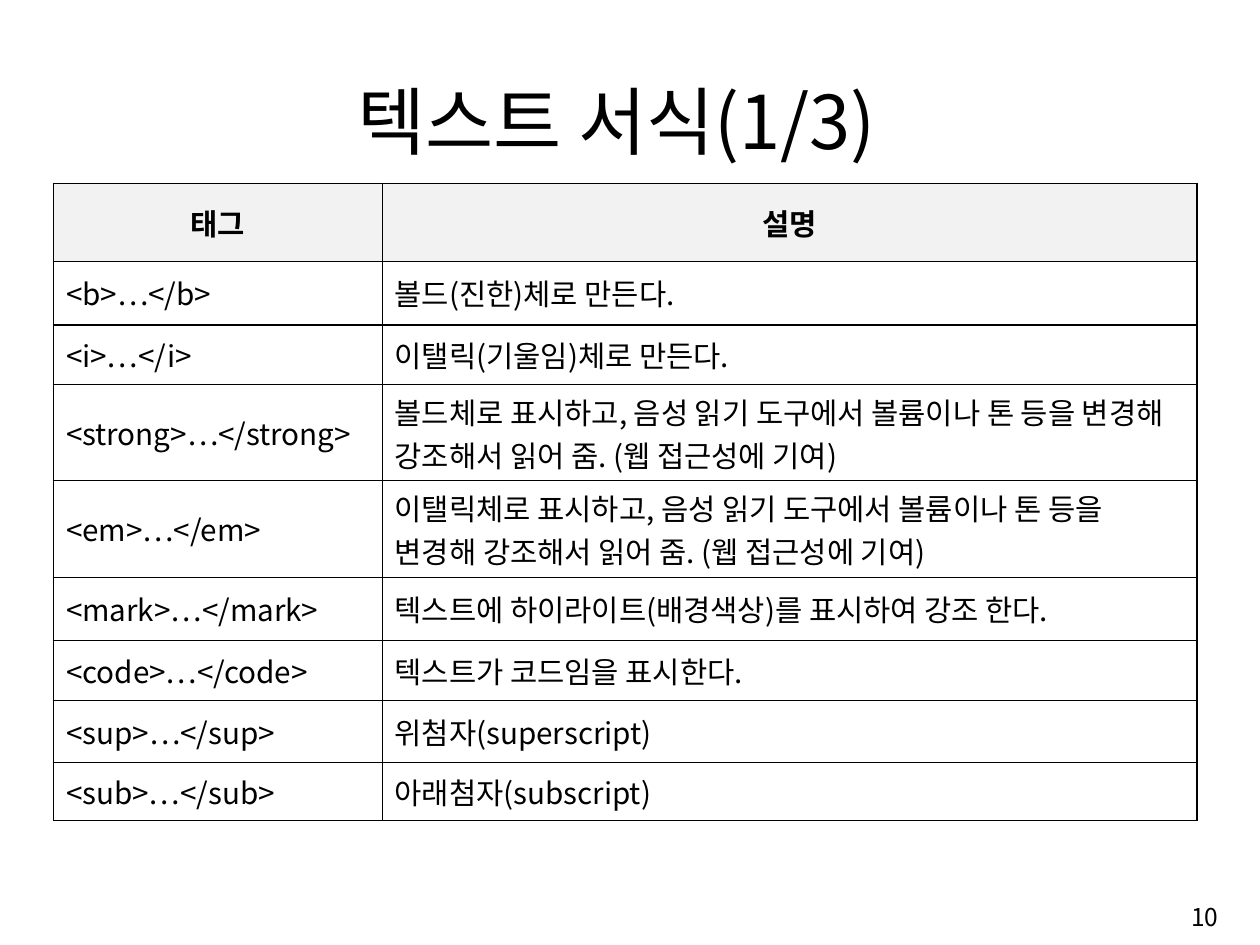
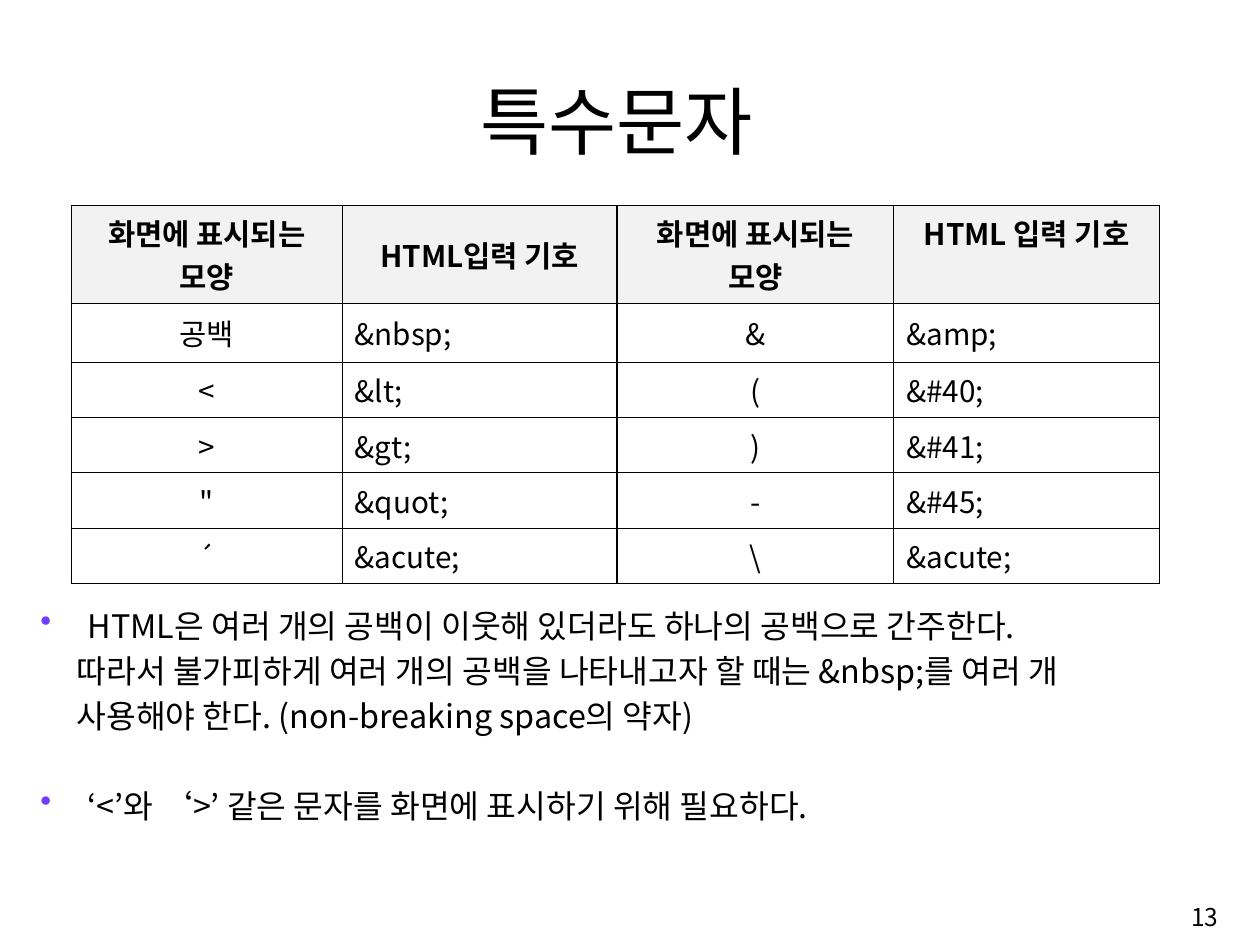
import pptx
import pptx.util
import pptx.dml.color
import pptx.enum.text
from lxml import etree
from dataclasses import dataclass
from pptx.oxml.ns import qn

Cm, Pt = pptx.util.Cm, pptx.util.Pt
ALIGN = pptx.enum.text.PP_ALIGN
ANCHOR = pptx.enum.text.MSO_ANCHOR


@dataclass(frozen=True)
class Theme:
    font: str = "Noto Sans CJK KR"
    ink: str = "000000"
    paper: str = "FFFFFF"
    header: str = "F2F2F2"
    bullet: str = "703DFF"
    title: float = 55
    cell: float = 22
    accent: float = 20
    body: float = 24
    leading: float = 33.4
    number: float = 18.2
    rule: float = 1


THEME = Theme()
SLIDE_SIZE = (33, 24.74)
TITLE_BOX = (2.67, 1.55, 26.95, 2.74)
NUMBER_BOX = (25.35, 23.24, 6.81, 1.52)
NOTES_BOX = (0.81, 15.7, 31.29, 7.04)
CELL_INSETS = (0.33, 0.15)

FORMAT_TAGS = {
    "title": "텍스트 서식(1/3)",
    "number": "10",
    "table": {
        "at": (1.4, 4.8),
        "columns": (8.61, 21.34),
        "heights": (2.04, 1.67, 1.56, 2.52, 2.52, 1.65, 1.57, 1.63, 1.52),
        "centred": (),
        "rows": [
            ("태그", "설명"),
            ("<b>…</b>", "볼드(진한)체로 만든다."),
            ("<i>…</i>", "이탤릭(기울임)체로 만든다."),
            ("<strong>…</strong>",
             "볼드체로 표시하고, 음성 읽기 도구에서 볼륨이나 톤 등을 변경해 강조해서 읽어 줌. (웹 접근성에 기여)"),
            ("<em>…</em>",
             "이탤릭체로 표시하고, 음성 읽기 도구에서 볼륨이나 톤 등을 변경해 강조해서 읽어 줌. (웹 접근성에 기여)"),
            ("<mark>…</mark>", "텍스트에 하이라이트(배경색상)를 표시하여 강조 한다."),
            ("<code>…</code>", "텍스트가 코드임을 표시한다."),
            ("<sup>…</sup>", "위첨자(superscript)"),
            ("<sub>…</sub>", "아래첨자(subscript)"),
        ],
    },
}

SPECIAL_CHARACTERS = {
    "title": "특수문자",
    "number": "13",
    "table": {
        "at": (1.87, 5.38),
        "columns": (7.09, 7.2, 7.25, 6.95),
        "heights": (2.56, 1.54) + (1.45,) * 4,
        "centred": (0, 2),
        "top_cells": {(0, 3)},
        "sizes": {(5, 0): THEME.accent},
        "rows": [
            ("화면에 표시되는 모양", "HTML입력 기호", "화면에 표시되는 모양", "HTML 입력 기호"),
            ("공백", "&nbsp;", "&", "&amp;"),
            ("<", "&lt;", "(", "&#40;"),
            (">", "&gt;", ")", "&#41;"),
            ('"', "&quot;", "-", "&#45;"),
            ("´", "&acute;", "\\", "&acute;"),
        ],
    },
    "notes": [
        {"text": "HTML은 여러 개의 공백이 이웃해 있더라도 하나의 공백으로 간주한다.", "bullet": True},
        {"text": "따라서 불가피하게 여러 개의 공백을 나타내고자 할 때는 &nbsp;를 여러 개", "indent": 0.95},
        {"text": "사용해야 한다. (non-breaking space의 약자)", "indent": 0.95},
        {"text": "‘<’와 ‘>’ 같은 문자를 화면에 표시하기 위해 필요하다.", "bullet": True,
         "before": THEME.leading},
    ],
}


def rgb(value):
    return pptx.dml.color.RGBColor.from_string(value)


def write(para, text, size, bold=False, align=ALIGN.LEFT, leading=None,
          before=0, indent=0, bullet=False):
    para.alignment = align
    para.space_before = Pt(before)
    if leading:
        para.line_spacing = Pt(leading)
    props = para._p.get_or_add_pPr()
    if bullet:
        hang = Cm(1.24)
        props.set("marL", str(hang))
        props.set("indent", str(-hang))
        color = etree.SubElement(props, qn("a:buClr"))
        etree.SubElement(color, qn("a:srgbClr"), val=THEME.bullet)
        etree.SubElement(props, qn("a:buChar"), char="•")
    elif indent:
        props.set("marL", str(Cm(indent)))
        props.set("indent", "0")
    span = para.add_run()
    span.text = text
    span.font.size = Pt(size)
    span.font.bold = bold
    span.font.name = THEME.font
    span.font.color.rgb = rgb(THEME.ink)
    etree.SubElement(span._r.get_or_add_rPr(), qn("a:ea"), typeface=THEME.font)


def add_box(page, place, anchor):
    frame = page.shapes.add_textbox(*map(Cm, place)).text_frame
    frame.word_wrap = True
    frame.vertical_anchor = anchor
    return frame


def outline(cell):
    """Rule all four sides of a table cell."""
    props = cell._tc.get_or_add_tcPr()
    for position, side in enumerate(("lnL", "lnR", "lnT", "lnB")):
        line = etree.Element(qn("a:" + side), w=str(Pt(THEME.rule)))
        fill = etree.SubElement(line, qn("a:solidFill"))
        etree.SubElement(fill, qn("a:srgbClr"), val=THEME.ink)
        props.insert(position, line)


def add_grid(page, spec_table):
    rows, columns, heights = (spec_table[key] for key in ("rows", "columns", "heights"))
    size = (sum(columns), sum(heights))
    table = page.shapes.add_table(len(rows), len(columns),
                                  *map(Cm, spec_table["at"] + size)).table
    table.first_row = table.horz_banding = False
    for column, width in zip(table.columns, columns):
        column.width = Cm(width)
    for row, height in zip(table.rows, heights):
        row.height = Cm(height)
    for r, texts in enumerate(rows):
        for c, text in enumerate(texts):
            cell = table.cell(r, c)
            header = r == 0
            cell.margin_left = cell.margin_right = Cm(CELL_INSETS[0])
            cell.margin_top = cell.margin_bottom = Cm(CELL_INSETS[1])
            on_top = (r, c) in spec_table.get("top_cells", ())
            cell.vertical_anchor = ANCHOR.TOP if on_top else ANCHOR.MIDDLE
            cell.fill.solid()
            cell.fill.fore_color.rgb = rgb(THEME.header if header else THEME.paper)
            outline(cell)
            centred = header or c in spec_table["centred"]
            write(cell.text_frame.paragraphs[0], text,
                  spec_table.get("sizes", {}).get((r, c), THEME.cell), bold=header,
                  align=ALIGN.CENTER if centred else ALIGN.LEFT)


def add_notes(page, notes):
    frame = add_box(page, NOTES_BOX, ANCHOR.TOP)
    frame.margin_top = 0
    for index, note in enumerate(notes):
        para = frame.add_paragraph() if index else frame.paragraphs[0]
        write(para, size=THEME.body, leading=THEME.leading, **note)


def add_page(deck, content):
    page = deck.slides.add_slide(deck.slide_layouts[6])
    title = add_box(page, TITLE_BOX, ANCHOR.BOTTOM)
    title.margin_bottom = 0
    write(title.paragraphs[0], content["title"], THEME.title, align=ALIGN.CENTER)
    add_grid(page, content["table"])
    if "notes" in content:
        add_notes(page, content["notes"])
    number = add_box(page, NUMBER_BOX, ANCHOR.MIDDLE)
    write(number.paragraphs[0], content["number"], THEME.number, align=ALIGN.RIGHT)


def main():
    deck = pptx.Presentation()
    deck.slide_width, deck.slide_height = map(Cm, SLIDE_SIZE)
    for content in (FORMAT_TAGS, SPECIAL_CHARACTERS):
        add_page(deck, content)
    deck.save("out.pptx")


if __name__ == "__main__":
    main()
